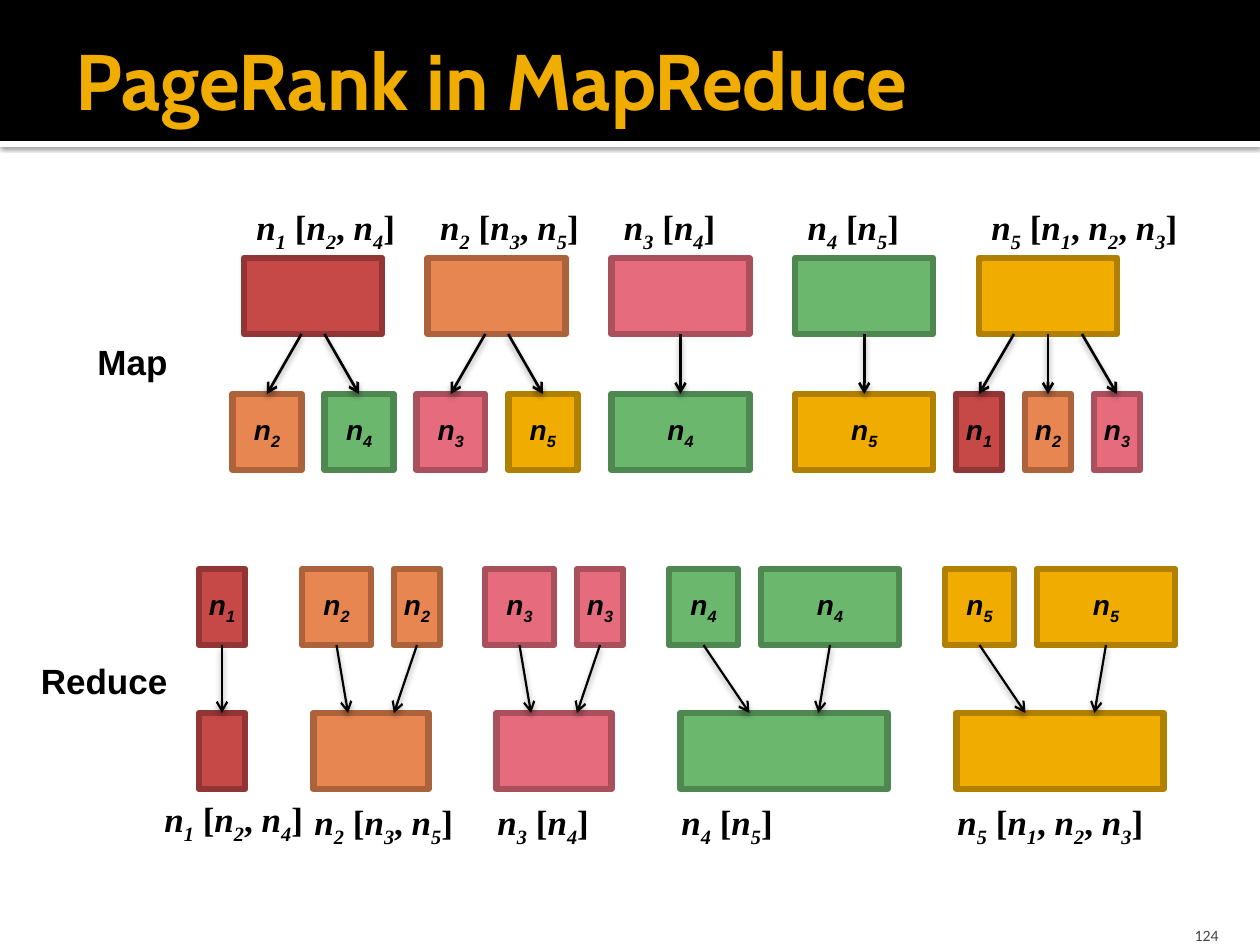
from dataclasses import dataclass

from lxml.etree import SubElement
from pptx import Presentation
from pptx.dml.color import RGBColor
from pptx.enum.shapes import MSO_CONNECTOR, MSO_SHAPE
from pptx.enum.text import MSO_ANCHOR, PP_ALIGN
from pptx.oxml.ns import qn
from pptx.util import Emu, Pt

# Content: the links of each node, and the pieces collected for it
TITLE = "PageRank in MapReduce"
PAGE = "124"
LINKS = {1: [2, 4], 2: [3, 5], 3: [4], 4: [5], 5: [1, 2, 3]}
# node: left edge, input widths, distance between arrow tips, label left, label top
REDUCE = {
    1: (199, [46], 0, 152, 791),
    2: (302, [69, 46], 46, 302, 794),
    3: (485, [69, 46], 46, 485, 794),
    4: (669, [69, 138], 69, 669, 794),
    5: (945, [69, 138], 69, 945, 794),
}
STAGES = [("Map", 84, 334, 96), ("Reduce", 26, 653, 154)]

# Layout in px
BOX_WIDTH, BOX_HEIGHT = 138, 76
MAP_LEFT, MAP_STEP = 244, 183.75
MAP_LABEL_TOP, MAP_TOP, MAP_OUTPUT_TOP = 199, 258, 394
OUTPUT_PITCH = {1: 0, 2: 92, 3: 69}
ARROW_PITCH = {1: 0, 2: 23, 3: 34}
REDUCE_TOP, REDUCE_OUTPUT_TOP, INPUT_GAP = 569, 713, 23


@dataclass(frozen=True)
class Theme:
    black: str = "000000"
    white: str = "FFFFFF"
    gold: str = "F0AD00"
    gray: str = "454545"
    nodes: tuple = (("C64847", "923535"), ("E88651", "AC633C"), ("E66C7D", "AA505C"),
                    ("6BB76D", "4F8751"), ("F0AD00", "B28000"))
    title_font: str = "Cabin"
    body_font: str = "Arial"
    label_font: str = "Times New Roman"
    page_font: str = "Calibri"
    title_size: float = 45
    label_size: float = 20
    node_size: float = 16
    page_size: float = 9
    outline: float = 3.78
    map_line: float = 1.5
    reduce_line: float = 1.25


THEME = Theme()


def px(value):
    return Emu(round(value * 914400 / 126))


def style(paragraph, font, size, color=THEME.black, bold=True, align=PP_ALIGN.LEFT):
    paragraph.alignment = align
    paragraph.font.name = font
    paragraph.font.size = Pt(size)
    paragraph.font.bold = bold
    paragraph.font.color.rgb = RGBColor.from_string(color)


def add_text(slide, box, anchor=MSO_ANCHOR.TOP, wrap=True):
    shape = slide.shapes.add_textbox(*map(px, box))
    shape.text_frame.word_wrap = wrap
    shape.text_frame.vertical_anchor = anchor
    return shape.text_frame


def add_run(paragraph, text, italic=False, subscript=False):
    run = paragraph.add_run()
    run.text = text
    run.font.italic = italic
    if subscript:
        run._r.get_or_add_rPr().set("baseline", "-25000")


def write_node(paragraph, node):
    add_run(paragraph, "n", italic=True)
    add_run(paragraph, str(node), italic=True, subscript=True)


def add_label(slide, node, left, top):
    paragraph = add_text(slide, (left, top, 218, 67)).paragraphs[0]
    style(paragraph, THEME.label_font, THEME.label_size)
    write_node(paragraph, node)
    for index, link in enumerate(LINKS[node]):
        add_run(paragraph, ", " if index else " [")
        write_node(paragraph, link)
    add_run(paragraph, "]")


def add_rectangle(slide, box, fill):
    shape = slide.shapes.add_shape(MSO_SHAPE.RECTANGLE, *map(px, box))
    shape.shadow.inherit = False
    shape.fill.solid()
    shape.fill.fore_color.rgb = RGBColor.from_string(fill)
    shape.line.fill.background()
    return shape


def add_box(slide, node, left, top, width, named=False):
    fill, outline = THEME.nodes[node - 1]
    shape = add_rectangle(slide, (left, top, width, BOX_HEIGHT), fill)
    shape.line.color.rgb = RGBColor.from_string(outline)
    shape.line.width = Pt(THEME.outline)
    if named:
        frame = shape.text_frame
        frame.word_wrap = False
        frame.vertical_anchor = MSO_ANCHOR.MIDDLE
        frame.margin_left = frame.margin_right = frame.margin_top = frame.margin_bottom = 0
        style(frame.paragraphs[0], THEME.body_font, THEME.node_size, align=PP_ALIGN.CENTER)
        write_node(frame.paragraphs[0], node)
    return shape


def add_shadow(effects, blur, distance, opacity):
    shadow = SubElement(effects, qn("a:outerShdw"), blurRad=str(Pt(blur)), dist=str(Pt(distance)),
                        dir="5400000", rotWithShape="0")
    color = SubElement(shadow, qn("a:srgbClr"), val=THEME.black)
    SubElement(color, qn("a:alpha"), val=str(opacity * 1000))


def add_arrow(slide, source, target, start, end, width):
    connector = slide.shapes.add_connector(
        MSO_CONNECTOR.STRAIGHT, px(start), source.top + source.height, px(end), target.top)
    if abs(px(start) - source.left - source.width // 2) < px(1):
        connector.begin_connect(source, 2)
    if abs(px(end) - target.left - target.width // 2) < px(1):
        connector.end_connect(target, 0)
    connector.line.color.rgb = RGBColor.from_string(THEME.black)
    connector.line.width = Pt(width)
    SubElement(connector.line._get_or_add_ln(), qn("a:tailEnd"), type="arrow")
    effects = SubElement(connector._element.spPr, qn("a:effectLst"))
    add_shadow(effects, 3.5, 2, 38)


def spread(center, count, pitch):
    return [center + (index - (count - 1) / 2) * pitch for index in range(count)]


def add_header(slide):
    stripe = add_rectangle(slide, (0, 141, 1260, 6), THEME.white)
    add_shadow(stripe._element.spPr.find(qn("a:effectLst")), 2.5, 0.8, 60)
    add_rectangle(slide, (0, 0, 1260, 141), THEME.black)
    paragraph = add_text(slide, (63, 21, 1134, 116), MSO_ANCHOR.MIDDLE).paragraphs[0]
    paragraph.text = TITLE
    style(paragraph, THEME.title_font, THEME.title_size, THEME.gold)


def add_map(slide):
    for index, (node, links) in enumerate(LINKS.items()):
        left, count = MAP_LEFT + index * MAP_STEP, len(links)
        center, width = left + BOX_WIDTH / 2, BOX_WIDTH / count
        add_label(slide, node, left, MAP_LABEL_TOP)
        source = add_box(slide, node, left, MAP_TOP, BOX_WIDTH)
        starts = spread(center, count, ARROW_PITCH[count])
        ends = spread(center, count, OUTPUT_PITCH[count])
        for link, start, end in zip(links, starts, ends):
            target = add_box(slide, link, end - width / 2, MAP_OUTPUT_TOP, width, named=True)
            add_arrow(slide, source, target, start, end, THEME.map_line)


def add_reduce(slide):
    for node, (left, widths, pitch, label_left, label_top) in REDUCE.items():
        gaps = INPUT_GAP * (len(widths) - 1)
        center = left + (sum(widths) + gaps) / 2
        target = add_box(slide, node, left + gaps / 2, REDUCE_OUTPUT_TOP, sum(widths))
        for width, end in zip(widths, spread(center, len(widths), pitch)):
            source = add_box(slide, node, left, REDUCE_TOP, width, named=True)
            add_arrow(slide, source, target, left + width / 2, end, THEME.reduce_line)
            left += width + INPUT_GAP
        add_label(slide, node, label_left, label_top)


def main():
    presentation = Presentation()
    presentation.slide_width, presentation.slide_height = px(1260), px(945)
    slide = presentation.slides.add_slide(presentation.slide_layouts[6])
    add_header(slide)
    add_map(slide)
    add_reduce(slide)

    # Stage names and page number
    for name, left, top, width in STAGES:
        paragraph = add_text(slide, (left, top, width, 55), wrap=False).paragraphs[0]
        paragraph.text = name
        style(paragraph, THEME.body_font, THEME.label_size, align=PP_ALIGN.RIGHT)
    frame = add_text(slide, (1130, 907, 101, 38), MSO_ANCHOR.BOTTOM)
    frame.margin_bottom = 0
    frame.paragraphs[0].text = PAGE
    style(frame.paragraphs[0], THEME.page_font, THEME.page_size, THEME.gray, False, PP_ALIGN.RIGHT)
    presentation.save("out.pptx")


if __name__ == "__main__":
    main()
